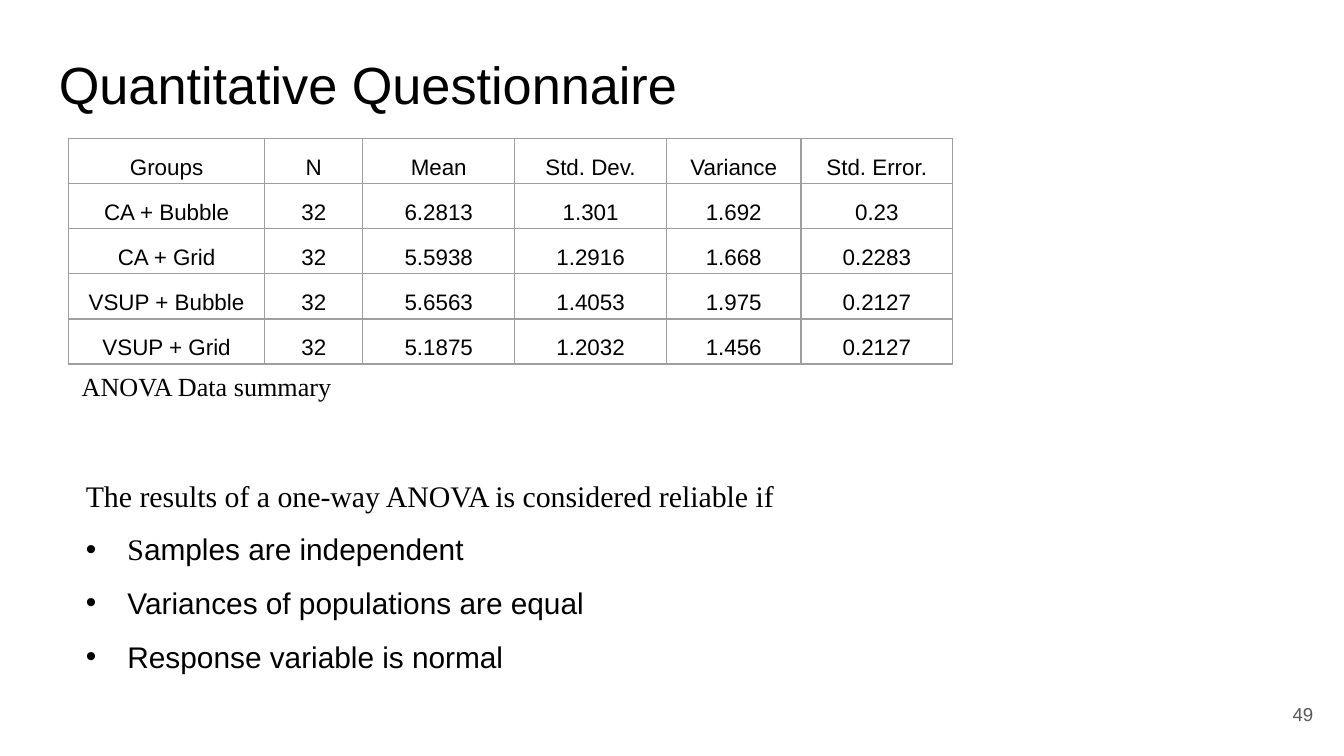
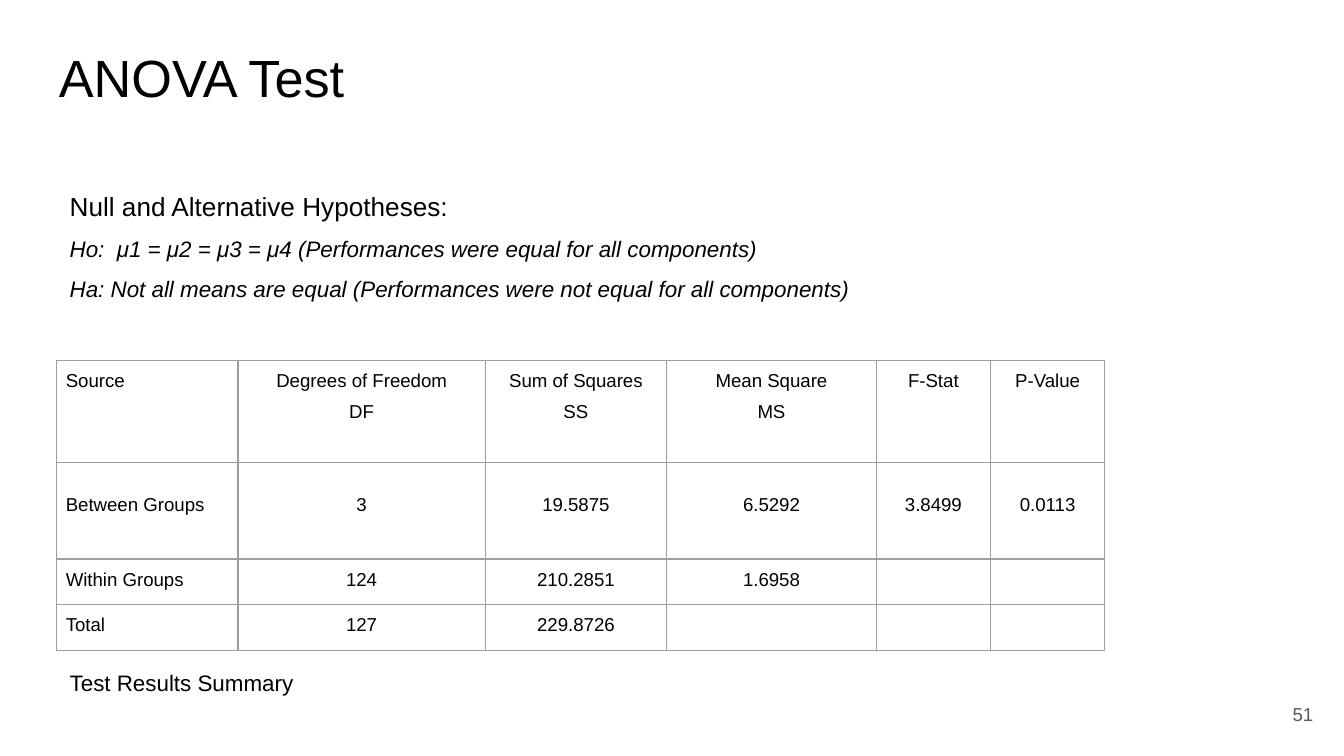
from lxml import etree
from pptx import Presentation
from pptx.dml.color import RGBColor
from pptx.enum.text import MSO_ANCHOR, PP_ALIGN
from pptx.oxml.ns import qn
from pptx.util import Inches, Pt

LEFT, CENTER, RIGHT = PP_ALIGN.LEFT, PP_ALIGN.CENTER, PP_ALIGN.RIGHT
TOP, MIDDLE = MSO_ANCHOR.TOP, MSO_ANCHOR.MIDDLE

SANS, SERIF = "Arial", "Times New Roman"
BLACK, GRAY, BORDER = "000000", "595959", "9E9E9E"
BULLET_INDENT = 0.31

SUMMARY_ROWS = [
    ["Groups", "N", "Mean", "Std. Dev.", "Variance", "Std. Error."],
    ["CA + Bubble", "32", "6.2813", "1.301", "1.692", "0.23"],
    ["CA + Grid", "32", "5.5938", "1.2916", "1.668", "0.2283"],
    ["VSUP + Bubble", "32", "5.6563", "1.4053", "1.975", "0.2127"],
    ["VSUP + Grid", "32", "5.1875", "1.2032", "1.456", "0.2127"],
]
SUMMARY_WIDTHS = [1.46, 0.73, 1.13, 1.13, 1, 1.13]
SUMMARY_HEIGHTS = [1.68 / len(SUMMARY_ROWS)] * len(SUMMARY_ROWS)

CONDITIONS_INTRO = "The results of a one-way ANOVA is considered reliable if"
CONDITIONS = [
    [("S", SERIF), ("amples are independent", SANS)],
    [("Variances of populations are equal", SANS)],
    [("Response variable is normal", SANS)],
]

HYPOTHESES_HEADING = "Null and Alternative Hypotheses:"
HYPOTHESES = [
    "Ho:  μ1 = μ2 = μ3 = μ4 (Performances were equal for all components)",
    "Ha: Not all means are equal (Performances were not equal for all components)",
]

# In a cell, \n starts a new paragraph and \v breaks the line within one.
RESULT_ROWS = [
    ["Source", "Degrees of Freedom\nDF", "Sum of Squares\vSS", "Mean Square\vMS",
     "F-Stat", "P-Value"],
    ["Between Groups", "3", "19.5875", "6.5292", "3.8499", "0.0113"],
    ["Within Groups", "124", "210.2851", "1.6958", "", ""],
    ["Total", "127", "229.8726", "", "", ""],
]
RESULT_WIDTHS = [1.35, 1.84, 1.35, 1.56, 0.85, 0.85]
RESULT_HEIGHTS = [0.76, 0.72, 0.34, 0.34]
RESULT_TOP_MARGINS = [0, 0.16, 0, 0]


def color(hex_value):
    return RGBColor.from_string(hex_value)


def add_run(paragraph, text, size, font=SANS, hex_value=BLACK, italic=False):
    run = paragraph.add_run()
    run.text = text
    run.font.size = Pt(size)
    run.font.name = font
    run.font.italic = italic
    run.font.color.rgb = color(hex_value)


def add_sized_break(paragraph, size):
    paragraph.add_line_break()
    line_break = paragraph._p.findall(qn("a:br"))[-1]
    etree.SubElement(line_break, qn("a:rPr"), sz=str(size * 100))


def add_box(slide, left, top, width, height, inset=0.05, anchor=TOP, wrap=True):
    """Add an empty text box and return its text frame."""
    box = slide.shapes.add_textbox(Inches(left), Inches(top), Inches(width), Inches(height))
    frame = box.text_frame
    frame.word_wrap = wrap
    frame.vertical_anchor = anchor
    frame.margin_left = frame.margin_right = Inches(0.1)
    frame.margin_top = frame.margin_bottom = Inches(inset)
    return frame


def add_spaced_paragraph(frame, first=False):
    paragraph = frame.paragraphs[0] if first else frame.add_paragraph()
    paragraph.line_spacing = 1.5
    return paragraph


def add_bullet(paragraph):
    properties = paragraph._p.get_or_add_pPr()
    properties.set("marL", str(Inches(BULLET_INDENT)))
    properties.set("indent", str(-Inches(BULLET_INDENT)))
    bullet_color = etree.SubElement(properties, qn("a:buClr"))
    etree.SubElement(bullet_color, qn("a:srgbClr"), val=BLACK)
    etree.SubElement(properties, qn("a:buFont"), typeface=SANS)
    etree.SubElement(properties, qn("a:buChar"), char="•")


def add_borders(cell):
    properties = cell._tc.get_or_add_tcPr()
    for position, side in enumerate(("lnL", "lnR", "lnT", "lnB")):
        line = etree.Element(qn(f"a:{side}"), w=str(Pt(0.75)))
        fill = etree.SubElement(line, qn("a:solidFill"))
        etree.SubElement(fill, qn("a:srgbClr"), val=BORDER)
        properties.insert(position, line)


def fill_cell(cell, value, size, align):
    for paragraph_index, text in enumerate(value.split("\n")):
        paragraph = add_spaced_paragraph(cell.text_frame, paragraph_index == 0)
        paragraph.alignment = align
        for line_index, line in enumerate(text.split("\v")):
            if line_index:
                add_sized_break(paragraph, size)
            add_run(paragraph, line, size)


def add_data_table(slide, left, top, rows, widths, heights, size,
                   first_align=CENTER, anchor=TOP, top_margins=None):
    frame = slide.shapes.add_table(len(rows), len(widths), Inches(left), Inches(top),
                                   Inches(sum(widths)), Inches(sum(heights)))
    table = frame.table
    table.first_row = table.horz_banding = False
    for column, width in zip(table.columns, widths):
        column.width = Inches(width)
    for row_index, values in enumerate(rows):
        table.rows[row_index].height = Inches(heights[row_index])
        for column_index, value in enumerate(values):
            cell = table.cell(row_index, column_index)
            cell.fill.background()
            add_borders(cell)
            cell.vertical_anchor = anchor
            cell.margin_left = cell.margin_right = Inches(0.07)
            cell.margin_top = Inches(top_margins[row_index] if top_margins else 0)
            cell.margin_bottom = 0
            if value:
                fill_cell(cell, value, size, CENTER if column_index else first_align)


def add_base_slide(presentation, title, title_top, title_width, number):
    """Add a blank slide with its title and slide number."""
    slide = presentation.slides.add_slide(presentation.slide_layouts[6])
    title_frame = add_box(slide, 0.34, title_top, title_width, 0.63, inset=0.1)
    add_run(title_frame.paragraphs[0], title, 28)
    number_frame = add_box(slide, 9.27, 5.1, 0.6, 0.43, inset=0.1, anchor=MIDDLE)
    number_frame.paragraphs[0].alignment = RIGHT
    add_run(number_frame.paragraphs[0], number, 10, hex_value=GRAY)
    return slide


def build_questionnaire(presentation):
    slide = add_base_slide(presentation, "Quantitative Questionnaire", 0.29, 5.5, "49")
    add_data_table(slide, 0.51, 1.03, SUMMARY_ROWS, SUMMARY_WIDTHS, SUMMARY_HEIGHTS, 12,
                   anchor=MIDDLE)
    caption = add_box(slide, 0.51, 2.71, 2.17, 0.34, wrap=False)
    add_run(caption.paragraphs[0], "ANOVA Data summary", 14, SERIF)

    conditions = add_box(slide, 0.54, 3.37, 5.78, 2.07)
    add_run(add_spaced_paragraph(conditions, True), CONDITIONS_INTRO, 16, SERIF)
    for runs in CONDITIONS:
        paragraph = add_spaced_paragraph(conditions)
        add_bullet(paragraph)
        for text, font in runs:
            add_run(paragraph, text, 16, font)


def build_anova_test(presentation):
    slide = add_base_slide(presentation, "ANOVA Test", 0.24, 9.32, "51")
    hypotheses = add_box(slide, 0.42, 1.25, 6.06, 1.02)
    add_run(add_spaced_paragraph(hypotheses, True), HYPOTHESES_HEADING, 14)
    for text in HYPOTHESES:
        add_run(add_spaced_paragraph(hypotheses), text, 12, italic=True)

    add_data_table(slide, 0.42, 2.68, RESULT_ROWS, RESULT_WIDTHS, RESULT_HEIGHTS, 10,
                   first_align=LEFT, top_margins=RESULT_TOP_MARGINS)
    caption = add_box(slide, 0.42, 4.93, 1.95, 0.3, wrap=False)
    add_run(caption.paragraphs[0], "Test Results Summary", 12)


def main():
    presentation = Presentation()
    presentation.slide_width = Inches(10)
    presentation.slide_height = Inches(10) * 9 // 16
    build_questionnaire(presentation)
    build_anova_test(presentation)
    presentation.save("out.pptx")


if __name__ == "__main__":
    main()
